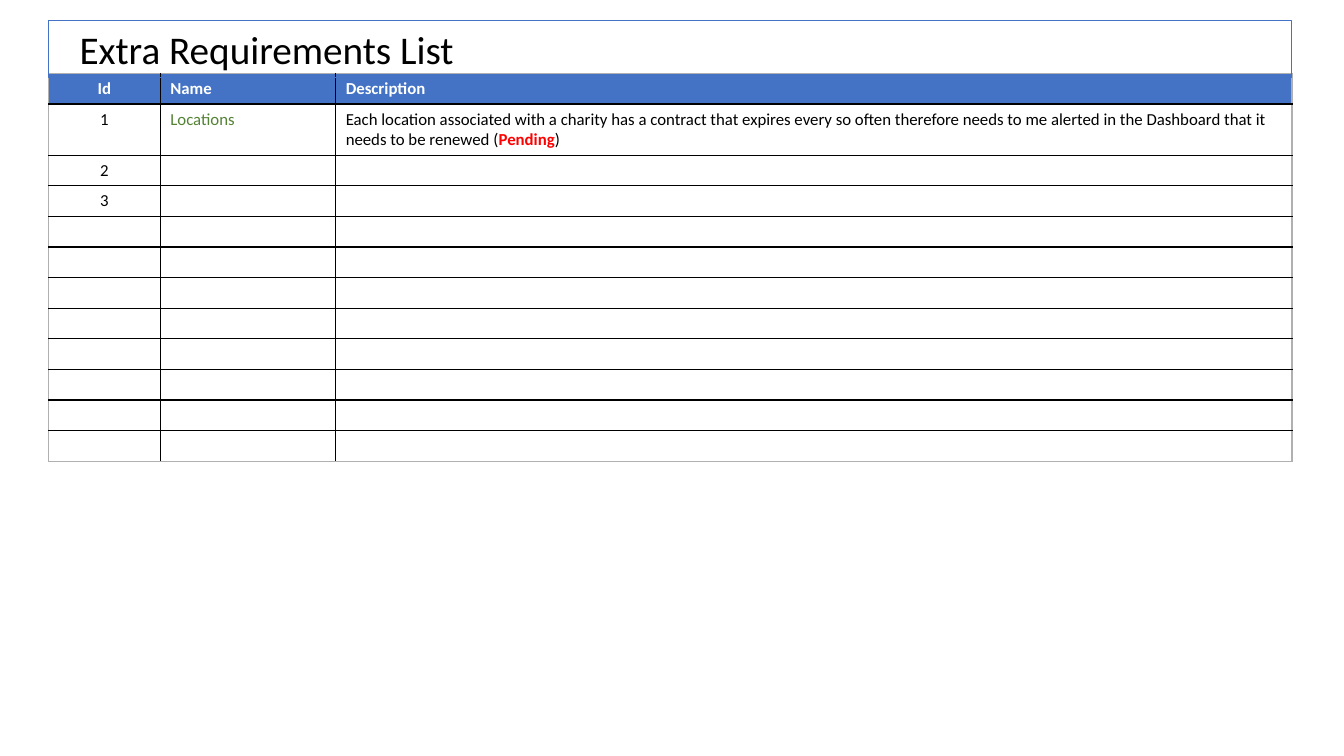
from dataclasses import dataclass

from lxml import etree
from pptx import Presentation
from pptx.dml.color import RGBColor
from pptx.enum.shapes import MSO_SHAPE
from pptx.enum.text import MSO_ANCHOR, PP_ALIGN
from pptx.oxml.ns import qn
from pptx.util import Cm, Pt

RECTANGLE = MSO_SHAPE.RECTANGLE
TOP = MSO_ANCHOR.TOP
LEFT, CENTER = PP_ALIGN.LEFT, PP_ALIGN.CENTER
TITLE_ONLY = 5


@dataclass(frozen=True)
class Theme:
    font: str = "Calibri"
    title_size: int = 28
    cell_size: int = 12
    accent: str = "4472C4"
    text: str = "000000"
    header_text: str = "FFFFFF"
    name_text: str = "548235"
    alert: str = "FF0000"
    inner_border: str = "000000"
    outer_border: str = "B0B0B0"
    border_width: float = 1
    frame_width: float = 0.75


THEME = Theme()

TITLE = "Extra Requirements List"
HEADERS = ["Id", "Name", "Description"]
# Each cell is a list of runs: (text, colour, bold)
REQUIREMENTS = [
    [
        [("1", THEME.text, False)],
        [("Locations", THEME.name_text, False)],
        [
            ("Each location associated with a charity has a contract that expires "
             "every so often therefore needs to me alerted in the Dashboard that it "
             "needs to be renewed (", THEME.text, False),
            ("Pending", THEME.alert, True),
            (")", THEME.text, False),
        ],
    ],
    [[("2", THEME.text, False)], [], []],
    [[("3", THEME.text, False)], [], []],
]
SPARE_ROWS = 8

SLIDE_WIDTH, SLIDE_HEIGHT = 33.87, 19.05
MARGIN = 1.22
COLUMN_WIDTHS = [2.82, 4.42, 24.1]
TABLE_TOP = 1.85
LINE_ROW, TWO_LINE_ROW = 0.77, 1.29
FRAME_TOP, FRAME_HEIGHT = 0.51, 1.45
TITLE_LEFT, TITLE_WIDTH = 1.75, 10.03


def add_run(paragraph, text, size, color, bold=False):
    run = paragraph.add_run()
    run.text = text
    run.font.name = THEME.font
    run.font.size = Pt(size)
    run.font.bold = bold
    run.font.color.rgb = RGBColor.from_string(color)


def set_borders(cell, colors):
    """Draw the left, right, top and bottom borders in the given colours."""
    properties = cell._tc.get_or_add_tcPr()
    for position, (side, color) in enumerate(zip("LRTB", colors)):
        line = etree.Element(qn(f"a:ln{side}"), w=str(Pt(THEME.border_width)))
        fill = etree.SubElement(line, qn("a:solidFill"))
        etree.SubElement(fill, qn("a:srgbClr"), val=color)
        properties.insert(position, line)


def add_title(slide):
    title = slide.shapes.title
    title.left, title.top = Cm(TITLE_LEFT), Cm(FRAME_TOP)
    title.width, title.height = Cm(TITLE_WIDTH), Cm(FRAME_HEIGHT)
    frame = title.text_frame
    frame.word_wrap = False
    frame.vertical_anchor = TOP
    paragraph = frame.paragraphs[0]
    paragraph.alignment = LEFT
    add_run(paragraph, TITLE, THEME.title_size, THEME.text)


def add_requirements(slide):
    header = [[(text, THEME.header_text, True)] for text in HEADERS]
    spare = [[[] for _ in HEADERS] for _ in range(SPARE_ROWS)]
    rows = [header, *REQUIREMENTS, *spare]
    heights = [TWO_LINE_ROW if index == 1 else LINE_ROW for index in range(len(rows))]
    table = slide.shapes.add_table(
        len(rows), len(HEADERS), Cm(MARGIN), Cm(TABLE_TOP),
        Cm(sum(COLUMN_WIDTHS)), Cm(sum(heights))).table
    table.horz_banding = False
    for column, width in zip(table.columns, COLUMN_WIDTHS):
        column.width = Cm(width)
    for row, height in zip(table.rows, heights):
        row.height = Cm(height)

    last_row, last_column = len(rows) - 1, len(HEADERS) - 1
    for r, row in enumerate(rows):
        for c, runs in enumerate(row):
            cell = table.cell(r, c)
            if r == 0:
                cell.fill.solid()
                cell.fill.fore_color.rgb = RGBColor.from_string(THEME.accent)
            else:
                cell.fill.background()
            on_edge = [c == 0, c == last_column, r == 0, r == last_row]
            set_borders(cell, [THEME.outer_border if edge else THEME.inner_border
                               for edge in on_edge])
            paragraph = cell.text_frame.paragraphs[0]
            paragraph.alignment = CENTER if c == 0 else LEFT
            for text, color, bold in runs:
                add_run(paragraph, text, THEME.cell_size, color, bold)
            # The end mark sets the line height of an empty cell
            etree.SubElement(paragraph._p, qn("a:endParaRPr"),
                             sz=str(THEME.cell_size * 100))


def add_title_frame(slide):
    frame = slide.shapes.add_shape(
        RECTANGLE, Cm(MARGIN), Cm(FRAME_TOP), Cm(sum(COLUMN_WIDTHS)), Cm(FRAME_HEIGHT))
    frame.shadow.inherit = False
    frame.fill.background()
    frame.line.color.rgb = RGBColor.from_string(THEME.accent)
    frame.line.width = Pt(THEME.frame_width)


def main():
    deck = Presentation()
    deck.slide_width, deck.slide_height = Cm(SLIDE_WIDTH), Cm(SLIDE_HEIGHT)
    slide = deck.slides.add_slide(deck.slide_layouts[TITLE_ONLY])
    add_title(slide)
    add_requirements(slide)
    add_title_frame(slide)
    deck.save("out.pptx")


if __name__ == "__main__":
    main()
